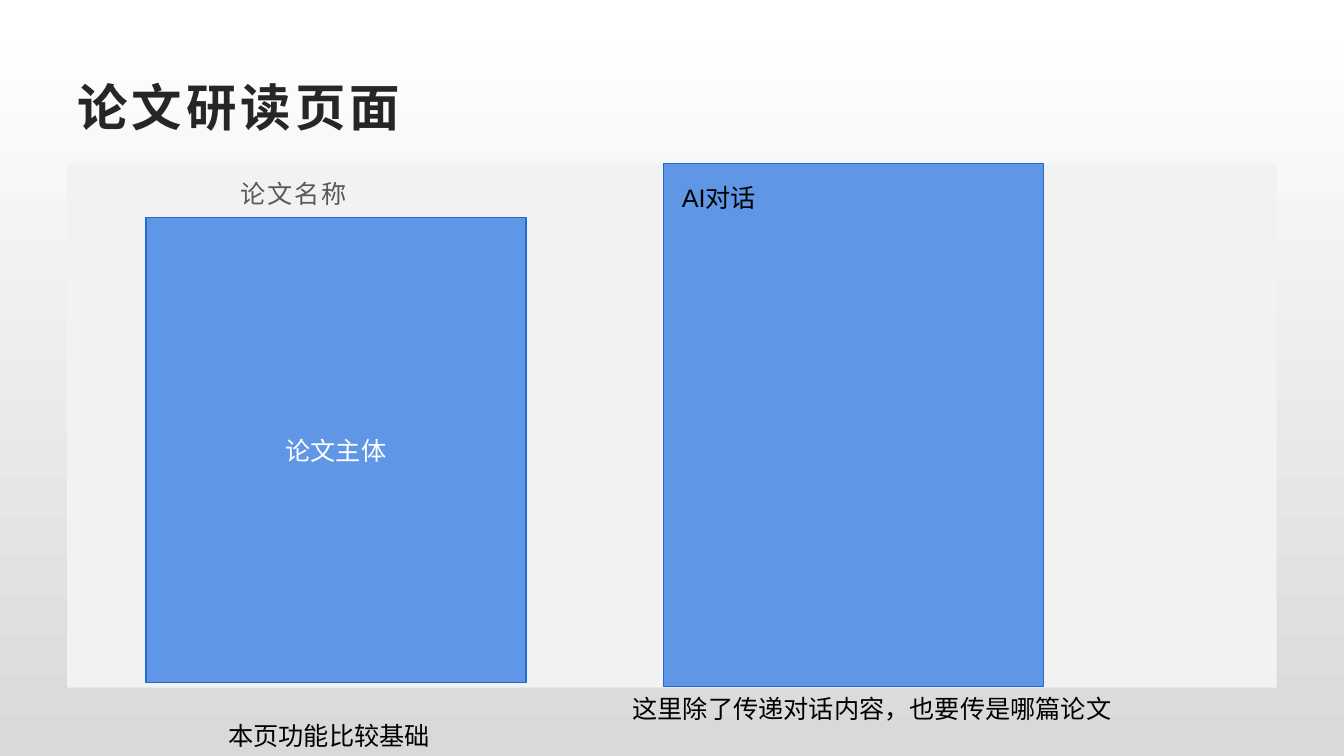
from dataclasses import dataclass

import lxml.etree
import pptx
import pptx.dml.color
import pptx.enum.shapes
import pptx.enum.text
import pptx.oxml.ns
import pptx.util

RGBColor = pptx.dml.color.RGBColor
PP_ALIGN = pptx.enum.text.PP_ALIGN
MSO_ANCHOR = pptx.enum.text.MSO_ANCHOR

EMU_PER_PX = 9525
FONT_NAME = "Arial"

WHITE = RGBColor(0xFF, 0xFF, 0xFF)
BLACK = RGBColor(0, 0, 0)
BACKGROUND_GRAY = RGBColor(0xD9, 0xD9, 0xD9)
BODY_GRAY = RGBColor(0xF2, 0xF2, 0xF2)
TITLE_GRAY = RGBColor(0x26, 0x26, 0x26)
TEXT_GRAY = RGBColor(0x59, 0x59, 0x59)
PANEL_BLUE = RGBColor(0x60, 0x96, 0xE6)
LINE_BLUE = RGBColor(0x21, 0x69, 0xD3)


@dataclass(frozen=True)
class Area:
    left: int
    top: int
    width: int
    height: int

    def emu(self) -> tuple[int, ...]:
        return tuple(px(side) for side in (self.left, self.top, self.width, self.height))


@dataclass(frozen=True)
class Panel:
    area: Area
    text: str = ""


@dataclass(frozen=True)
class Caption:
    area: Area
    text: str


TITLE_AREA = Area(64, 64, 1152, 74)
BODY_AREA = Area(64, 156, 1152, 499)
BODY_INDENT = 155

PANELS = (
    Panel(Area(632, 156, 362, 498)),
    Panel(Area(139, 207, 362, 443), "论文主体"),
)
CAPTIONS = (
    Caption(Area(640, 169, 107, 38), "AI对话"),
    Caption(Area(593, 656, 492, 38), "这里除了传递对话内容，也要传是哪篇论文"),
    Caption(Area(208, 681, 222, 38), "本页功能比较基础"),
)


def px(length: int) -> int:
    return length * EMU_PER_PX


def place(shape, area: Area) -> None:
    shape.left, shape.top, shape.width, shape.height = area.emu()


def format_runs(para, size: int, color: RGBColor, bold: bool = False, spacing: int = 0) -> None:
    for run in para.runs:
        run.font.name = FONT_NAME
        run.font.size = pptx.util.Pt(size)
        run.font.bold = bold
        run.font.color.rgb = color
        if spacing:
            run.font._element.set("spc", str(spacing))


def paint_background(page) -> None:
    fill = page.background.fill
    fill.gradient()
    fill.gradient_angle = 270
    for stop, color, position in zip(fill.gradient_stops, (WHITE, BACKGROUND_GRAY), (0, 1)):
        stop.color.rgb = color
        stop.position = position


def fill_title(title) -> None:
    place(title, TITLE_AREA)
    frame = title.text_frame
    frame.text = "论文研读页面"
    frame.vertical_anchor = MSO_ANCHOR.MIDDLE
    frame.auto_size = pptx.enum.text.MSO_AUTO_SIZE.NONE
    para = frame.paragraphs[0]
    para.alignment = PP_ALIGN.LEFT
    format_runs(para, 36, TITLE_GRAY, bold=True, spacing=300)


def fill_body(body) -> None:
    place(body, BODY_AREA)
    body.fill.solid()
    body.fill.fore_color.rgb = BODY_GRAY
    frame = body.text_frame
    frame.text = "论文名称"
    frame.auto_size = pptx.enum.text.MSO_AUTO_SIZE.NONE
    para = frame.paragraphs[0]
    properties = para._p.get_or_add_pPr()
    properties.set("marL", str(px(BODY_INDENT)))
    properties.set("indent", "0")
    lxml.etree.SubElement(properties, pptx.oxml.ns.qn("a:buNone"))
    para.line_spacing = 1.3
    para.space_before = pptx.util.Pt(0)
    para.space_after = pptx.util.Pt(10)
    format_runs(para, 18, TEXT_GRAY, spacing=150)


def add_panel(page, panel: Panel) -> None:
    shape = page.shapes.add_shape(
        pptx.enum.shapes.MSO_SHAPE.RECTANGLE, *panel.area.emu()
    )
    shape.shadow.inherit = False
    shape.fill.solid()
    shape.fill.fore_color.rgb = PANEL_BLUE
    shape.line.color.rgb = LINE_BLUE
    shape.line.width = pptx.util.Pt(1)
    if panel.text:
        frame = shape.text_frame
        frame.text = panel.text
        frame.vertical_anchor = MSO_ANCHOR.MIDDLE
        para = frame.paragraphs[0]
        para.alignment = PP_ALIGN.CENTER
        format_runs(para, 18, WHITE)


def add_caption(page, caption: Caption) -> None:
    box = page.shapes.add_textbox(*caption.area.emu())
    frame = box.text_frame
    frame.word_wrap = True
    frame.auto_size = pptx.enum.text.MSO_AUTO_SIZE.SHAPE_TO_FIT_TEXT
    frame.text = caption.text
    format_runs(frame.paragraphs[0], 18, BLACK)


def main() -> None:
    deck = pptx.Presentation()
    deck.slide_width = px(1280)
    deck.slide_height = px(720)
    page = deck.slides.add_slide(deck.slide_layouts[1])
    paint_background(page)
    fill_title(page.shapes.title)
    fill_body(page.placeholders[1])
    for panel in PANELS:
        add_panel(page, panel)
    for caption in CAPTIONS:
        add_caption(page, caption)
    deck.save("out.pptx")


if __name__ == "__main__":
    main()
